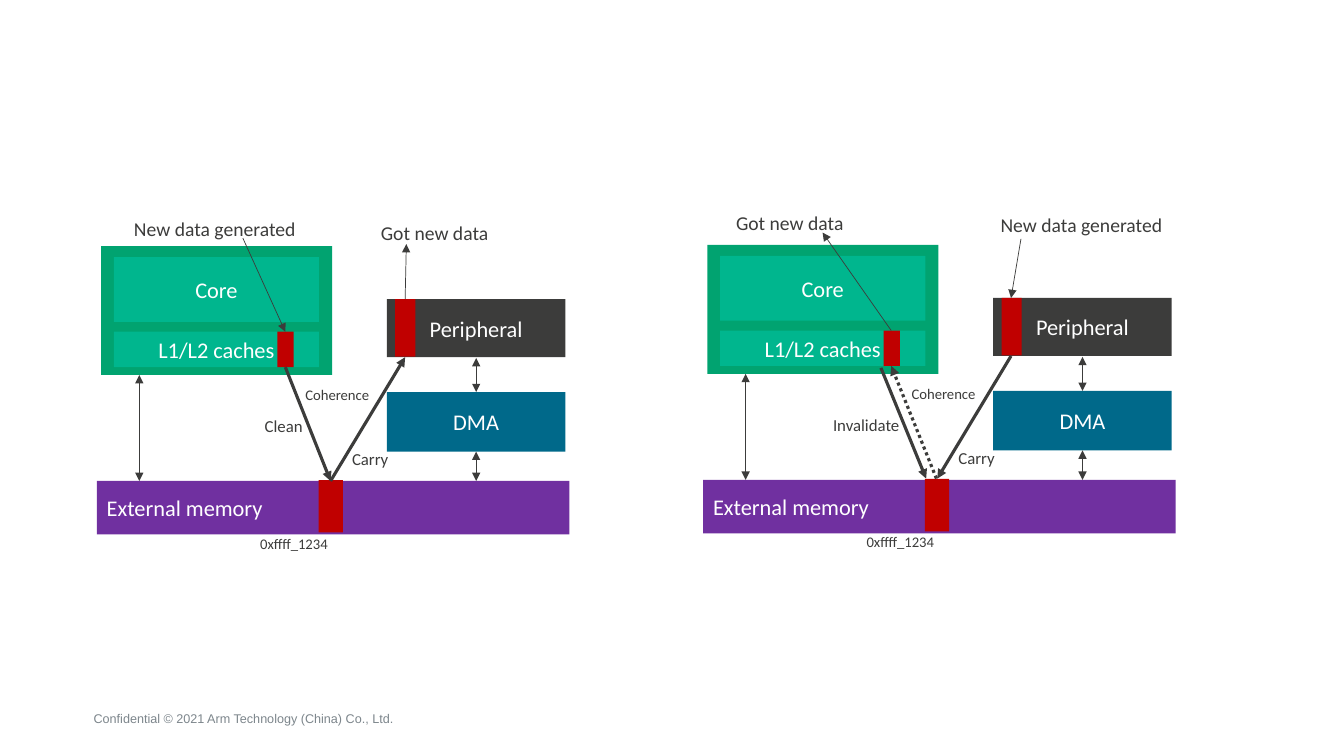
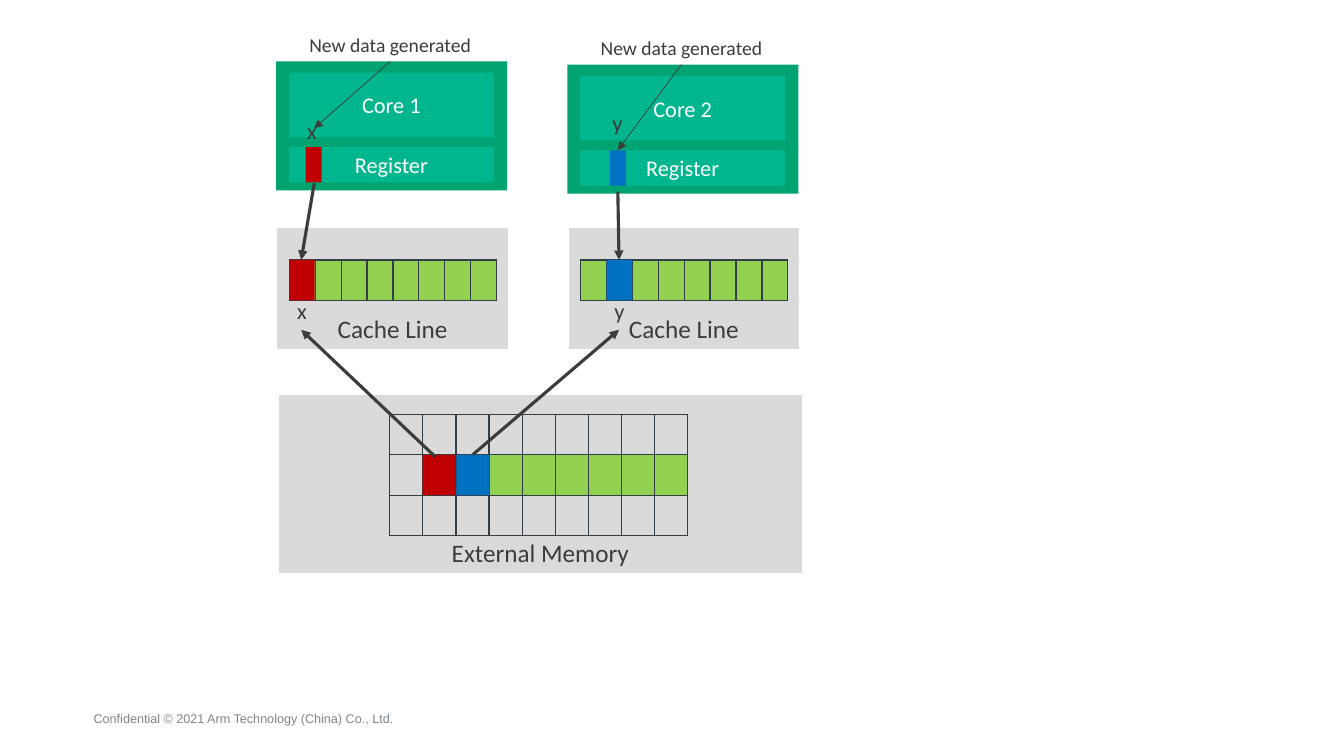
"""Draw two slides on cache coherence: data paths to a peripheral and shared cache lines."""
from dataclasses import dataclass
from typing import Any, Optional

import lxml.etree
import pptx
import pptx.dml.color
import pptx.enum.dml
import pptx.enum.shapes
import pptx.enum.text
import pptx.oxml
import pptx.oxml.ns
import pptx.util

Cm = pptx.util.Cm
Pt = pptx.util.Pt
ANCHOR = pptx.enum.text.MSO_ANCHOR
ALIGN = pptx.enum.text.PP_ALIGN

INK, WHITE, FOOTER_GREY = "3C3C3B", "FFFFFF", "7D868C"
RED, BLUE, LIME = "C00000", "0070C0", "92D050"
GREEN, MINT, PURPLE, TEAL = "01A370", "00B68E", "7030A0", "00698A"
PANEL_GREY, GRID = "DADADA", "333E48"
THIN, THICK = 0.5, 2.25
MEMORY_TOP, ROW_HEIGHT = 12.12, 1.02


@dataclass(frozen=True)
class Block:
    """A filled rectangle in centimetres, with optional text."""
    left: float
    top: float
    width: float
    height: float
    fill: str
    text: str = ""
    size: float = 16
    color: str = WHITE
    align: Any = ALIGN.CENTER
    anchor: Any = ANCHOR.MIDDLE
    outline: Optional[str] = None


@dataclass(frozen=True)
class Label:
    """A free text box in centimetres."""
    text: str
    left: float
    top: float
    width: float = 2.26
    height: float = 0.76
    size: float = 12


@dataclass(frozen=True)
class Arrow:
    """A straight line from tail to tip in centimetres."""
    tail: tuple[float, float]
    tip: tuple[float, float]
    weight: float = THICK
    dotted: bool = False
    double: bool = False


@dataclass(frozen=True)
class Panel:
    """One data flow: its offset, labels and arrows."""
    dx: float
    dy: float
    labels: tuple[Label, ...]
    arrows: tuple[Arrow, ...]


@dataclass(frozen=True)
class CoreColumn:
    """One core with its variable and its cache line."""
    left: float
    top: float
    name: str
    variable: str
    color: str
    cache_left: float
    line_left: float
    register_mark: float
    line_mark: float
    variable_labels: tuple[tuple[float, float], ...]
    arrows: tuple[Arrow, ...]


PANELS = (
    Panel(0, 0,
          (Label("New data generated", 2.39, 5.33, 6.05, 0.86, 14),
           Label("Got new data", 8.53, 5.44, 4.85, 0.86, 14),
           Label("Clean", 6.02, 10.36)),
          (Arrow((7.19, 9.25), (8.33, 12.12)),
           Arrow((8.33, 12.12), (10.21, 9)),
           Arrow((6.12, 6), (7.19, 8.36), THIN),
           Arrow((10.21, 7.54), (10.24, 6.15), THIN))),
    Panel(15.28, -0.03,
          (Label("New data generated", 8.95, 5.26, 6.05, 0.86, 14),
           Label("Got new data", 2.2, 5.21, 4.85, 0.86, 14),
           Label("Invalidate", 5.42, 10.36)),
          (Arrow((6.92, 9.3), (8.06, 12.09)),
           Arrow((10.2, 9), (8.34, 12.09)),
           Arrow((7.18, 8.36), (5.45, 5.89), THIN),
           Arrow((10.45, 6.05), (10.2, 7.54), THIN),
           Arrow((8.32, 12.09), (7.18, 9.25), dotted=True))),
)
SHARED_LABELS = (
    Label("Coherence", 7.37, 9.6, size=10.5),
    Label("Carry", 8.2, 11.18),
    Label("0xffff_1234", 5.49, 13.34, 3.84, size=10.5),
)
SHARED_ARROWS = (
    Arrow((3.51, 9.45), (3.51, MEMORY_TOP), THIN, double=True),
    Arrow((12, 9.02), (12, 9.88), THIN, double=True),
    Arrow((12, 11.38), (12, MEMORY_TOP), THIN, double=True),
)
SYSTEM_BLOCKS = (
    Block(2.44, MEMORY_TOP, 11.91, 1.35, PURPLE, "External memory", align=ALIGN.LEFT),
    Block(9.75, 7.54, 4.5, 1.46, INK, "Peripheral"),
    Block(9.75, 9.88, 4.5, 1.5, TEAL, "DMA"),
)
DATA_MARKS = (
    Block(8.03, MEMORY_TOP - 0.02, 0.61, 1.32, RED),
    Block(6.99, 8.36, 0.41, 0.89, RED),
    Block(9.96, 7.54, 0.51, 1.45, RED),
)
COLUMNS = (
    CoreColumn(6.96, 1.55, "Core 1", "x", RED, 7.01, 7.29, 7.7, 7.29,
               ((6.48, 7.37), (6.73, 2.82)),
               (Arrow((7.92, 4.62), (7.59, 6.55)),
                Arrow((10.97, 11.51), (7.59, 8.31)),
                Arrow((9.83, 1.55), (7.92, 3.23), THIN))),
    CoreColumn(14.3, 1.63, "Core 2", "y", BLUE, 14.35, 14.63, 15.37, 15.29,
               ((14.48, 7.37), (14.43, 2.62)),
               (Arrow((15.57, 4.83), (15.6, 6.55)),
                Arrow((11.91, 11.46), (15.6, 8.31)),
                Arrow((17.17, 1.63), (15.57, 3.78), THIN))),
)


def rgb(color: str) -> pptx.dml.color.RGBColor:
    """Turn a hex string into a colour."""
    return pptx.dml.color.RGBColor.from_string(color)


def write(frame: Any, text: str, *, size: float, color: str = INK, font: str = "Calibri",
          align: Any = ALIGN.CENTER, anchor: Any = ANCHOR.TOP) -> None:
    """Put one formatted paragraph in a text frame."""
    frame.word_wrap = True
    frame.vertical_anchor = anchor
    para = frame.paragraphs[0]
    para.alignment = align
    span = para.add_run()
    span.text = text
    span.font.name = font
    span.font.size = Pt(size)
    span.font.color.rgb = rgb(color)


def draw_block(shapes: Any, block: Block, dx: float = 0, dy: float = 0) -> None:
    """Draw a filled rectangle."""
    box = shapes.add_shape(pptx.enum.shapes.MSO_SHAPE.RECTANGLE, Cm(block.left + dx),
                           Cm(block.top + dy), Cm(block.width), Cm(block.height))
    box.shadow.inherit = False
    box.fill.solid()
    box.fill.fore_color.rgb = rgb(block.fill)
    if block.outline:
        box.line.color.rgb = rgb(block.outline)
        box.line.width = Pt(1)
    else:
        box.line.fill.background()
    if block.text:
        write(box.text_frame, block.text, size=block.size, color=block.color,
              align=block.align, anchor=block.anchor)


def draw_label(shapes: Any, label: Label, dx: float = 0, dy: float = 0) -> None:
    """Draw a centred text box."""
    box = shapes.add_textbox(Cm(label.left + dx), Cm(label.top + dy),
                             Cm(label.width), Cm(label.height))
    write(box.text_frame, label.text, size=label.size)


def draw_arrow(shapes: Any, arrow: Arrow, dx: float = 0, dy: float = 0) -> None:
    """Draw a connector with one or two arrowheads."""
    line = shapes.add_connector(
        pptx.enum.shapes.MSO_CONNECTOR.STRAIGHT, Cm(arrow.tail[0] + dx), Cm(arrow.tail[1] + dy),
        Cm(arrow.tip[0] + dx), Cm(arrow.tip[1] + dy))
    line.line.color.rgb = rgb(INK)
    line.line.width = Pt(arrow.weight)
    if arrow.dotted:
        line.line.dash_style = pptx.enum.dml.MSO_LINE.ROUND_DOT
    qn = pptx.oxml.ns.qn
    properties = line.element.spPr
    outline = properties.find(qn("a:ln"))
    for end in ("a:headEnd", "a:tailEnd") if arrow.double else ("a:tailEnd",):
        lxml.etree.SubElement(outline, qn(end), type="triangle")
    lxml.etree.SubElement(properties, qn("a:effectLst"))


def draw_core(page: Any, left: float, top: float, name: str, store: str) -> None:
    """Draw a core and its storage as a group."""
    shapes = page.shapes.add_group_shape().shapes
    for block in (Block(0, 0, 5.82, 3.25, GREEN),
                  Block(0.32, 0.28, 5.17, 1.63, MINT, name),
                  Block(0.32, 2.16, 5.17, 0.89, MINT, store)):
        draw_block(shapes, block, left, top)


def format_cell(cell: Any, fill: Optional[str]) -> None:
    """Give a table cell its fill and borders."""
    cell.margin_top = cell.margin_bottom = 0
    if fill:
        cell.fill.solid()
        cell.fill.fore_color.rgb = rgb(fill)
    else:
        cell.fill.background()
    properties = cell._tc.get_or_add_tcPr()
    for index, side in enumerate(("lnL", "lnR", "lnT", "lnB")):
        properties.insert(index, pptx.oxml.parse_xml(
            f'<a:{side} {pptx.oxml.ns.nsdecls("a")} w="12700"><a:solidFill>'
            f'<a:srgbClr val="{GRID}"/></a:solidFill></a:{side}>'))


def draw_grid(page: Any, left: float, top: float, width: float,
              rows: list[list[Optional[str]]]) -> None:
    """Draw a table of empty cells with the given fills."""
    columns = len(rows[0])
    table = page.shapes.add_table(len(rows), columns, Cm(left), Cm(top), Cm(width),
                                  Cm(ROW_HEIGHT * len(rows))).table
    table.first_row = table.horz_banding = False
    for column in table.columns:
        column.width = Cm(width / columns)
    for row, fills in zip(table.rows, rows):
        for cell, fill in zip(row.cells, fills):
            format_cell(cell, fill)


def prepare_layout(deck: Any) -> Any:
    """Put the shared footer on the blank layout."""
    layout = deck.slide_layouts[6]
    tree = layout.shapes.element
    for holder in list(layout.placeholders):
        tree.remove(holder.element)
    page = deck.slides.add_slide(layout)
    box = page.shapes.add_textbox(Cm(2.11), Cm(17.75), Cm(12.8), Cm(0.69))
    write(box.text_frame, "Confidential © 2021 Arm Technology (China) Co., Ltd.", size=9,
          color=FOOTER_GREY, font="Arial", align=ALIGN.LEFT, anchor=ANCHOR.MIDDLE)
    tree.append(box.element)
    return page


def draw_data_flows(page: Any) -> None:
    """Draw the outgoing and the incoming data flow."""
    for panel in PANELS:
        offset = (panel.dx, panel.dy)
        draw_core(page, 2.55 + panel.dx, 6.2 + panel.dy, "Core", "L1/L2 caches")
        for block in SYSTEM_BLOCKS + DATA_MARKS:
            draw_block(page.shapes, block, *offset)
        for arrow in SHARED_ARROWS + panel.arrows:
            draw_arrow(page.shapes, arrow, *offset)
        for label in SHARED_LABELS + panel.labels:
            draw_label(page.shapes, label, *offset)


def draw_shared_line(page: Any) -> None:
    """Draw two cores that hold the same cache line."""
    caption = dict(fill=PANEL_GREY, size=18, color=INK, anchor=ANCHOR.BOTTOM, outline=PANEL_GREY)
    draw_block(page.shapes, Block(7.04, 9.98, 13.16, 4.45, text="External Memory", **caption))
    draw_grid(page, 9.82, 10.44, 7.52, [[None] * 9, [None] + [LIME] * 8, [None] * 9])
    for index, column in enumerate(COLUMNS):
        draw_block(page.shapes,
                   Block(column.cache_left, 5.77, 5.77, 3.02, text="Cache Line", **caption))
        draw_core(page, column.left, column.top, column.name, "Register")
        draw_grid(page, column.line_left, 6.55, 5.23, [[LIME] * 8])
        for mark in (Block(column.register_mark, column.top + 2.16, 0.41, 0.89, column.color),
                     Block(column.line_mark, 6.55, 0.64, ROW_HEIGHT, column.color),
                     Block(10.65 + index * 0.85, 11.46, 0.84, ROW_HEIGHT, column.color)):
            draw_block(page.shapes, mark)
        draw_label(page.shapes, Label("New data generated", column.left - 0.15,
                                      column.top - 0.85, 6.05, 0.86, 14))
        for left, top in column.variable_labels:
            draw_label(page.shapes, Label(column.variable, left, top, height=0.94, size=16))
    for column in COLUMNS:
        for arrow in column.arrows:
            draw_arrow(page.shapes, arrow)


def main() -> None:
    """Build and save the deck."""
    deck = pptx.Presentation()
    deck.slide_width, deck.slide_height = Cm(33.87), Cm(19.05)
    first = prepare_layout(deck)
    draw_data_flows(first)
    draw_shared_line(deck.slides.add_slide(first.slide_layout))
    deck.save("out.pptx")


if __name__ == "__main__":
    main()
